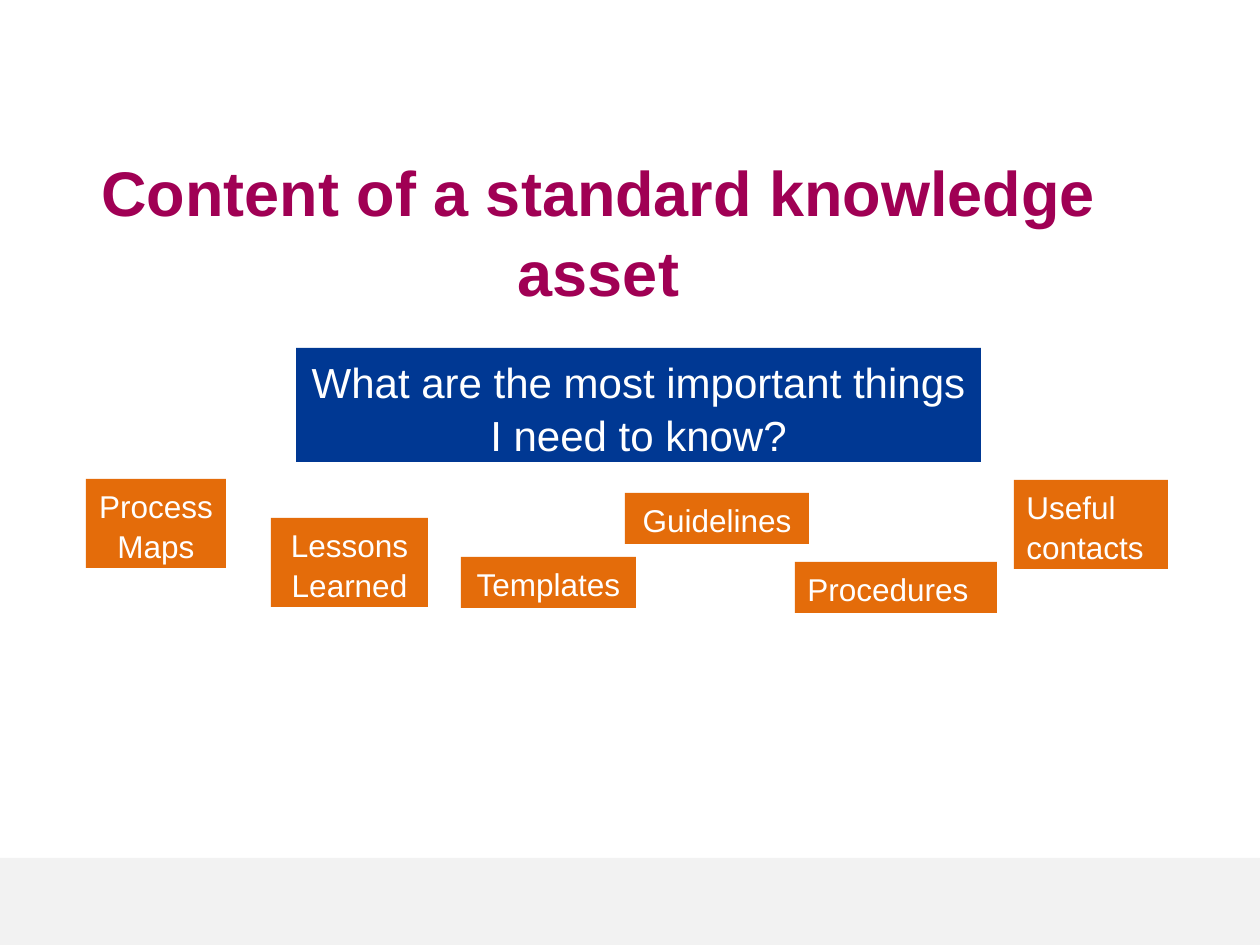
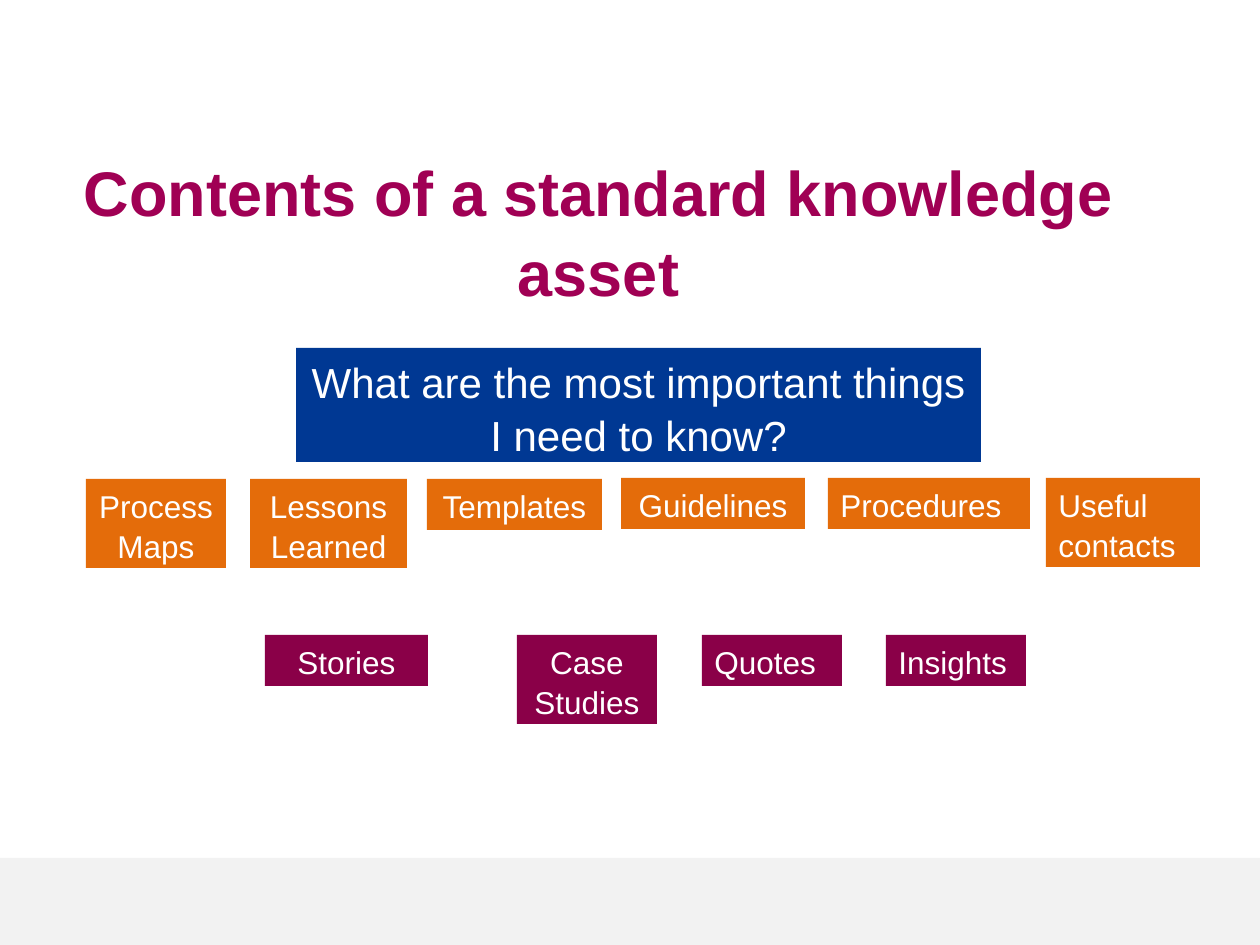
"""Build two slides on the content of a standard knowledge asset."""
from lxml.etree import SubElement
from pptx import Presentation
from pptx.dml.color import RGBColor
from pptx.enum.shapes import MSO_SHAPE
from pptx.enum.text import MSO_ANCHOR, MSO_AUTO_SIZE, PP_ALIGN
from pptx.oxml.ns import qn
from pptx.util import Emu, Inches, Pt

WHITE = RGBColor(0xFF, 0xFF, 0xFF)
BAND = RGBColor(0xF2, 0xF2, 0xF2)
TITLE = RGBColor(0xA0, 0x00, 0x54)
BLUE = RGBColor(0x00, 0x38, 0x93)
ORANGE = RGBColor(0xE4, 0x6C, 0x0A)
PLUM = RGBColor(0x8A, 0x00, 0x48)

FONT = "Arial"
LINE_SPACING = 1.05
PX = Inches(1) / 126
ONE_LINE, TWO_LINES = 51, 89
CENTER, LEFT = PP_ALIGN.CENTER, PP_ALIGN.LEFT

QUESTION = "What are the most important things I need to know?"
LABELS = {
    "Process Maps": (140, TWO_LINES, CENTER),
    "Lessons Learned": (157, TWO_LINES, CENTER),
    "Templates": (175, ONE_LINE, CENTER),
    "Guidelines": (184, ONE_LINE, CENTER),
    "Procedures": (202, ONE_LINE, LEFT),
    "Useful contacts": (154, TWO_LINES, LEFT),
    "Stories": (163, ONE_LINE, CENTER),
    "Case Studies": (140, TWO_LINES, CENTER),
    "Quotes": (140, ONE_LINE, LEFT),
    "Insights": (140, ONE_LINE, LEFT),
}
SCATTERED = {
    "Process Maps": (86, 479),
    "Lessons Learned": (271, 518),
    "Templates": (461, 557),
    "Guidelines": (625, 493),
    "Useful contacts": (1014, 480),
    "Procedures": (795, 562),
}
ALIGNED = {
    "Process Maps": (86, 479),
    "Lessons Learned": (250, 479),
    "Templates": (427, 479),
    "Guidelines": (621, 478),
    "Procedures": (828, 478),
    "Useful contacts": (1046, 478),
}
STORY_TOP = 635
STORY_LEFTS = {"Stories": 265, "Case Studies": 517, "Quotes": 702, "Insights": 886}


class Deck:
    """Hold the style and the current slide."""

    def __init__(self):
        self.prs = Presentation()
        self.prs.slide_width, self.prs.slide_height = Inches(10), Inches(7.5)

    def place(self, *lengths):
        return [Emu(round(n * PX)) for n in lengths]

    def add_text(self, tf, text, size, color, align, bold=False):
        tf.word_wrap = True
        tf.vertical_anchor = MSO_ANCHOR.TOP
        p = tf.paragraphs[0]
        p.alignment = align
        p.line_spacing = LINE_SPACING
        r = p.add_run()
        r.text = text
        r.font.size = Pt(size)
        r.font.bold = bold
        r.font.color.rgb = color
        r.font.name = FONT
        return r

    def rect(self, x, y, w, h, fill):
        sp = self.s.shapes.add_shape(MSO_SHAPE.RECTANGLE, *self.place(x, y, w, h))
        sp.shadow.inherit = False
        sp.fill.solid()
        sp.fill.fore_color.rgb = fill
        sp.line.fill.background()
        return sp

    def box(self, text, x, y, w, h, fill, size=18, align=CENTER):
        tf = self.rect(x, y, w, h, fill).text_frame
        self.add_text(tf, text, size, WHITE, align)
        tf.auto_size = MSO_AUTO_SIZE.SHAPE_TO_FIT_TEXT

    def label(self, text, x, y, fill):
        w, h, align = LABELS[text]
        self.box(text, x, y, w, h, fill, align=align)

    def title(self, text):
        tf = self.s.shapes.add_textbox(*self.place(63, 141, 1071, 93)).text_frame
        tf.margin_top = self.place(9)[0]
        r = self.add_text(tf, text, 36, TITLE, CENTER, bold=True)
        self.text_shadow(r)

    def text_shadow(self, r):
        props = r._r.get_or_add_rPr()
        effects = props.makeelement(qn("a:effectLst"))
        shadow = SubElement(effects, qn("a:outerShdw"), blurRad="38100",
                            dist="38100", dir="2700000", algn="tl")
        color = SubElement(shadow, qn("a:srgbClr"), val="000000")
        SubElement(color, qn("a:alpha"), val="43000")
        props.find(qn("a:solidFill")).addnext(effects)

    def slide(self, title, topics):
        self.s = self.prs.slides.add_slide(self.prs.slide_layouts[6])
        self.rect(0, 858, 1260, 87, BAND)
        self.title(title)
        self.box(QUESTION, 296, 348, 685, 114, BLUE, size=24)
        for text, (x, y) in topics.items():
            self.label(text, x, y, ORANGE)


def main():
    deck = Deck()
    deck.slide("Content of a standard knowledge asset", SCATTERED)
    deck.slide("Contents of a standard knowledge asset", ALIGNED)
    for text, x in STORY_LEFTS.items():
        deck.label(text, x, STORY_TOP, PLUM)
    deck.prs.save("out.pptx")


if __name__ == "__main__":
    main()
